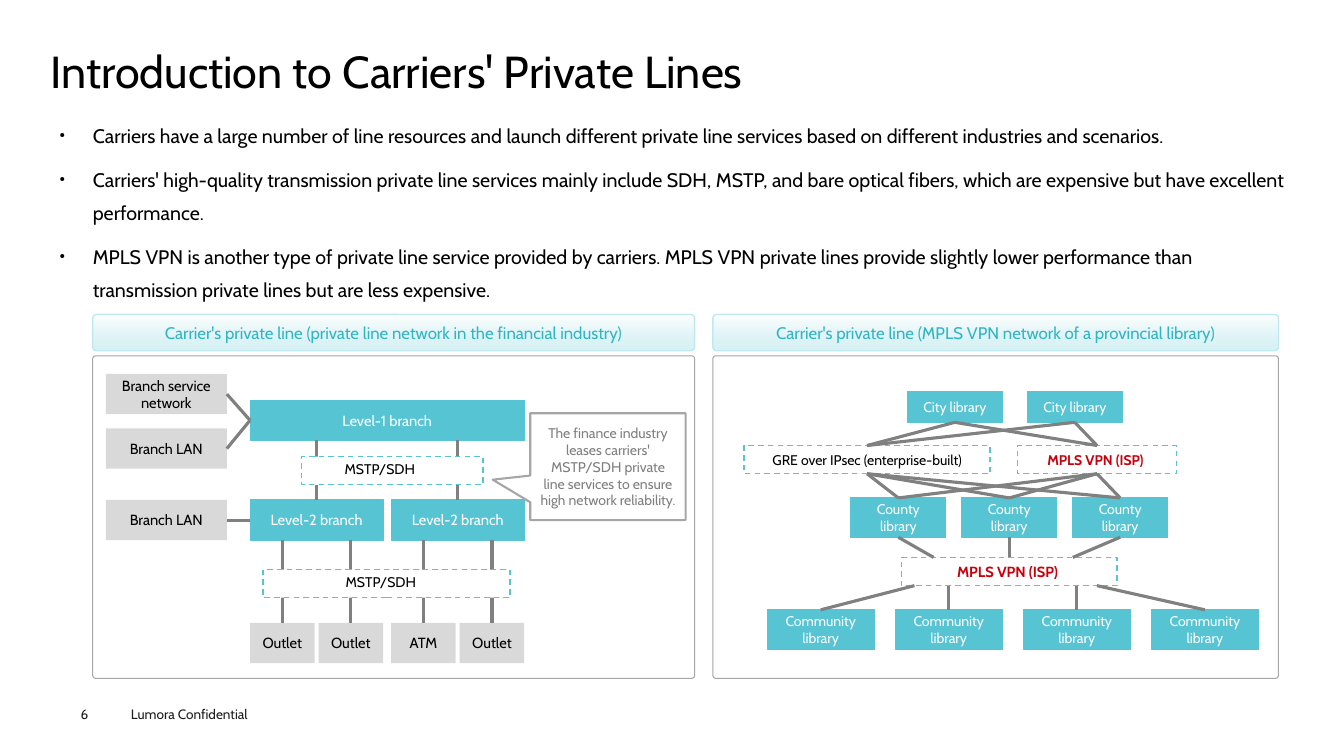
"""Build the slide that introduces carriers' private lines."""
from dataclasses import dataclass
from itertools import product
from typing import NamedTuple, Optional

from lxml.etree import SubElement
from pptx import Presentation
from pptx.dml.color import RGBColor
from pptx.enum.dml import MSO_LINE
from pptx.enum.shapes import MSO_CONNECTOR, MSO_SHAPE
from pptx.enum.text import MSO_ANCHOR, PP_ALIGN
from pptx.oxml.ns import qn
from pptx.shapes.autoshape import Shape
from pptx.slide import Slide
from pptx.text.text import TextFrame
from pptx.util import Pt

EMU_PER_PX = 9144
FONT = "Cabin"
TOP, LEFT, BOTTOM, RIGHT = range(4)
BLACK = RGBColor(0x00, 0x00, 0x00)
WHITE = RGBColor(0xFF, 0xFF, 0xFF)
FOOTER = RGBColor(0x1D, 0x1D, 0x1B)
CYAN = RGBColor(0x56, 0xC4, 0xD2)
PALE_CYAN = RGBColor(0xBE, 0xE9, 0xEE)
DEEP_CYAN = RGBColor(0x30, 0xB5, 0xC5)
RED = RGBColor(0xC7, 0x00, 0x0B)
LIGHT_GREY = RGBColor(0xD9, 0xD9, 0xD9)
MID_GREY = RGBColor(0xA6, 0xA6, 0xA6)
DARK_GREY = RGBColor(0x80, 0x80, 0x80)


@dataclass(frozen=True)
class Style:
    """Look of a shape and its text."""
    fill: Optional[RGBColor] = None
    line: Optional[RGBColor] = None
    line_width: float = 0.75
    dashed: bool = False
    color: RGBColor = BLACK
    size: float = 10
    bold: bool = False
    geometry: MSO_SHAPE = MSO_SHAPE.RECTANGLE
    adjustments: tuple[float, ...] = ()
    insets: tuple[int, int] = (10, 5)


class Box(NamedTuple):
    """Shape with its text and place in px."""
    key: str
    text: str
    left: int
    top: int
    width: int
    height: int
    style: Style


class Port(NamedTuple):
    """Point on a box side, shifted sideways from its middle."""
    key: str
    side: int
    shift: int = 0


BRANCH = Style(CYAN, CYAN, color=WHITE, size=10.5)
LIBRARY = Style(CYAN, CYAN, color=WHITE)
SITE = Style(LIGHT_GREY, size=10.5)
DASHED = Style(WHITE, CYAN, 1, True)
ISP = Style(WHITE, CYAN, 1, True, RED, bold=True)
LOWER_ISP = Style(WHITE, CYAN, 1, True, RED, 10.5, True)
HEADER = Style(None, PALE_CYAN, 1, False, DEEP_CYAN, 12, False, MSO_SHAPE.ROUNDED_RECTANGLE, (0.106,), (0, 0))
FRAME = Style(line=MID_GREY, geometry=MSO_SHAPE.ROUNDED_RECTANGLE, adjustments=(0.009,))
CALLOUT = Style(None, MID_GREY, 1.5, False, DARK_GREY, 10, False, MSO_SHAPE.RECTANGULAR_CALLOUT, (-0.742, 0.122))

BULLETS = (
    "Carriers have a large number of line resources and launch different private line services "
    "based on different industries and scenarios.",
    "Carriers' high-quality transmission private line services mainly include SDH, MSTP, and bare "
    "optical fibers, which are expensive but have excellent performance.",
    "MPLS VPN is another type of private line service provided by carriers. MPLS VPN private lines "
    "provide slightly lower performance than transmission private lines but are less expensive.",
)
PANELS = (
    (92, 597, "Carrier's private line (private line network in the financial industry)"),
    (707, 561, "Carrier's private line (MPLS VPN network of a provincial library)"),
)
OUTLETS = ("Outlet", "Outlet", "ATM", "Outlet")
SITES = (("Branch service network", 371), ("Branch LAN", 425), ("Branch LAN", 496))
NODES = [
    Box("level 1", "Level-1 branch", 248, 397, 272, 40, BRANCH),
    *(Box(f"level 2 {i}", "Level-2 branch", 248 + 140 * i, 496, 132, 40, BRANCH) for i in range(2)),
    *(Box(f"outlet {i}", text, 248 + 140 * (i // 2) + 68 * (i % 2), 618, 64, 40, SITE)
      for i, text in enumerate(OUTLETS)),
    *(Box(f"site {i}", text, 105, top, 120, 40, SITE) for i, (text, top) in enumerate(SITES)),
    *(Box(f"county {i}", "County library", 844 + 110 * i, 494, 94, 39, LIBRARY) for i in range(3)),
    *(Box(f"community {i}", "Community library", 761 + 127 * i, 605, 106, 39, LIBRARY) for i in range(4)),
    *(Box(f"city {i}", "City library", 900 + 119 * i, 388, 94, 31, LIBRARY) for i in range(2)),
    Box("network 0", "GRE over IPsec (enterprise-built)", 738, 442, 244, 28, DASHED),
    Box("network 1", "MPLS VPN (ISP) ", 1009, 442, 158, 28, ISP),
    Box("lower ISP", "MPLS VPN (ISP) ", 894, 553, 214, 28, LOWER_ISP),
]
LINKS = [
    *((Port("level 1", BOTTOM, 140 * i - 70), Port(f"level 2 {i}", TOP)) for i in range(2)),
    *((Port(f"level 2 {i // 2}", BOTTOM, 68 * (i % 2) - 34), Port(f"outlet {i}", TOP)) for i in range(4)),
    *((Port(target, LEFT), Port(f"site {i}", RIGHT)) for i, target in enumerate(("level 1", "level 1", "level 2 0"))),
    *((Port("lower ISP", BOTTOM, shift), Port(f"community {i}", TOP)) for i, shift in enumerate((-94, -60, 67, 87))),
    *((Port("lower ISP", TOP, shift), Port(f"county {i}", BOTTOM)) for i, shift in enumerate((-75, 0, 63))),
    *((Port(f"network {n}", BOTTOM), Port(f"county {i}", TOP)) for n, i in product(range(2), range(3))),
    *((Port(f"city {i}", BOTTOM), Port(f"network {n}", TOP)) for i, n in product(range(2), repeat=2)),
]
TRANSPORTS = ((Box("upper MSTP", "", 299, 453, 180, 28, DASHED), 332),
              (Box("lower MSTP", "", 261, 565, 245, 28, DASHED), 333))
NOTE = Box("note", "The finance industry leases carriers' MSTP/SDH private line services "
           "to ensure high network reliability.", 526, 410, 154, 106, CALLOUT)


def emu(px: int) -> int:
    """Turn px into EMU."""
    return px * EMU_PER_PX


def write(frame: TextFrame, lines: tuple[str, ...], style: Style, wrap: bool = True) -> None:
    """Fill a text frame with one paragraph for each line."""
    frame.word_wrap = wrap
    frame.margin_left = frame.margin_right = emu(style.insets[0])
    frame.margin_top = frame.margin_bottom = emu(style.insets[1])
    for i, line in enumerate(lines):
        para = frame.add_paragraph() if i else frame.paragraphs[0]
        span = para.add_run()
        span.text = line
        span.font.name, span.font.size, span.font.bold = FONT, Pt(style.size), style.bold
        span.font.color.rgb = style.color


def add_text(page: Slide, place: tuple[int, ...], style: Style, *lines: str, wrap: bool = True) -> TextFrame:
    """Add a text box."""
    frame = page.shapes.add_textbox(*map(emu, place)).text_frame
    write(frame, lines, style, wrap)
    return frame


def add_bullets(page: Slide) -> None:
    """Add the bulleted introduction."""
    for para in add_text(page, (50, 110, 1235, 195), Style(size=14, insets=(9, 4)), *BULLETS).paragraphs:
        para.line_spacing, para.space_before = 1.4, Pt(7.9)
        props = para._p.get_or_add_pPr()
        props.set("marL", str(emu(33)))
        props.set("indent", str(emu(-33)))
        SubElement(props, qn("a:buSzPct")).set("val", "35000")
        SubElement(props, qn("a:buChar")).set("char", "●")


def add_box(page: Slide, box: Box) -> Shape:
    """Draw a box in its style."""
    style = box.style
    shape = page.shapes.add_shape(style.geometry, *map(emu, box[2:6]))
    shape.shadow.inherit = False
    for i, value in enumerate(style.adjustments):
        shape.adjustments[i] = value
    for paint, color in ((shape.fill, style.fill), (shape.line.fill, style.line)):
        if color is None:
            paint.background()
        else:
            paint.solid()
            paint.fore_color.rgb = color
    if style.line is not None:
        shape.line.width = Pt(style.line_width)
    if style.dashed:
        shape.line.dash_style = MSO_LINE.DASH
    if box.text:
        write(shape.text_frame, (box.text,), style)
        shape.text_frame.vertical_anchor = MSO_ANCHOR.MIDDLE
        shape.text_frame.paragraphs[0].alignment = PP_ALIGN.CENTER
    return shape


def add_panel(page: Slide, left: int, width: int, title: str) -> None:
    """Draw a panel's gradient header and its frame."""
    header = add_box(page, Box("header", title, left, 312, width, 36, HEADER))
    header.fill.gradient()
    header.fill.gradient_angle = 270
    for stop, color in zip(header.fill.gradient_stops, (WHITE, PALE_CYAN)):
        stop.color.rgb = color
    SubElement(header._element.xpath(".//a:gs[last()]/a:srgbClr")[0], qn("a:alpha")).set("val", "60000")
    add_box(page, Box("frame", "", left, 353, width, 320, FRAME))


def locate(port: Port, shapes: dict[str, Shape]) -> tuple[int, int]:
    """Find a port's place in EMU."""
    shape = shapes[port.key]
    if port.side in (LEFT, RIGHT):
        return shape.left + shape.width * (port.side == RIGHT), shape.top + shape.height // 2 + emu(port.shift)
    return shape.left + shape.width // 2 + emu(port.shift), shape.top + shape.height * (port.side == BOTTOM)


def add_link(page: Slide, start: Port, end: Port, shapes: dict[str, Shape]) -> None:
    """Draw a line between two ports and join it at side middles."""
    link = page.shapes.add_connector(MSO_CONNECTOR.STRAIGHT, *locate(start, shapes), *locate(end, shapes))
    link.line.color.rgb, link.line.width = DARK_GREY, Pt(2.25)
    SubElement(link._element.spPr, qn("a:effectLst"))
    for port, connect in ((start, link.begin_connect), (end, link.end_connect)):
        if not port.shift:
            connect(shapes[port.key], port.side)


def main() -> None:
    """Build and save the deck."""
    deck = Presentation()
    deck.slide_width, deck.slide_height = emu(1333), emu(750)
    page = deck.slides.add_slide(deck.slide_layouts[6])
    add_text(page, (120, 695, 160, 27), Style(color=FOOTER, size=9.7), "Lumora Confidential")
    add_text(page, (80, 700, 55, 16), Style(color=FOOTER, size=9.7, insets=(0, 0)), "6")
    title = add_text(page, (50, 49, 1235, 54), Style(size=32, insets=(0, 0)), "Introduction to Carriers' Private Lines")
    title.paragraphs[0].line_spacing = 0.9
    add_bullets(page)
    for panel in PANELS:
        add_panel(page, *panel)
    shapes = {box.key: add_box(page, box) for box in NODES}
    for start, end in LINKS:
        add_link(page, start, end, shapes)
    for box, label_left in TRANSPORTS:
        add_box(page, box)
        add_text(page, (label_left, box.top - 1, 90, 27), Style(), "MSTP/SDH", wrap=False)
    add_box(page, NOTE)
    deck.save("out.pptx")


if __name__ == "__main__":
    main()
